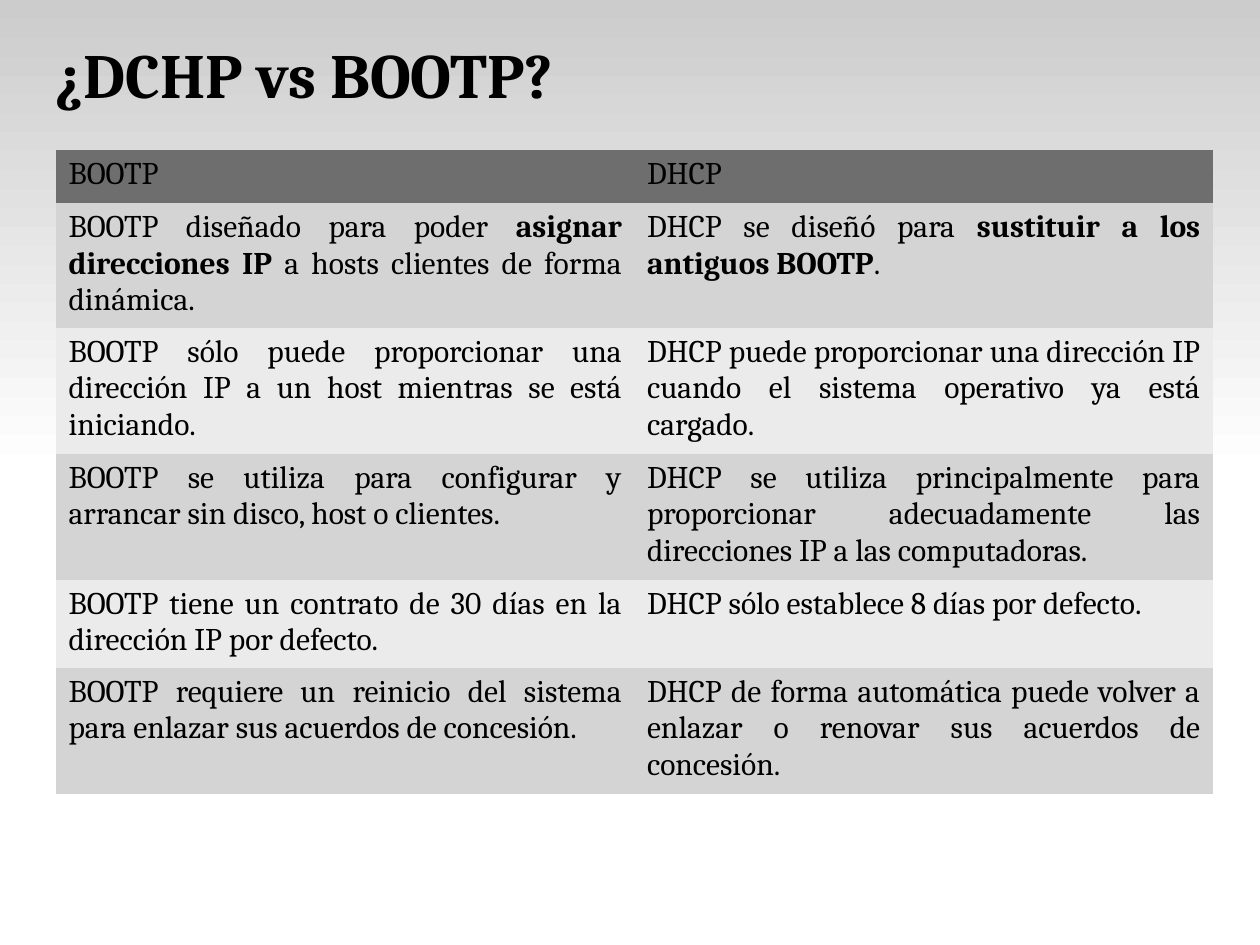
"""Build the slide that compares BOOTP and DHCP in a table."""
from pptx import Presentation
from pptx.dml.color import RGBColor
from pptx.enum.shapes import MSO_SHAPE
from pptx.enum.text import MSO_ANCHOR, MSO_AUTO_SIZE, PP_ALIGN
from pptx.util import Emu, Pt

RECTANGLE = MSO_SHAPE.RECTANGLE
MIDDLE = MSO_ANCHOR.MIDDLE
NO_AUTOFIT = MSO_AUTO_SIZE.NONE
LEFT, JUSTIFY = PP_ALIGN.LEFT, PP_ALIGN.JUSTIFY

BLACK = RGBColor(0x00, 0x00, 0x00)
WHITE = RGBColor(0xFF, 0xFF, 0xFF)
BAND_GREY = RGBColor(0xCC, 0xCC, 0xCC)
HEADER_GREY = RGBColor(0x6E, 0x6E, 0x6E)
ROW_GREYS = [RGBColor(0xEB, 0xEB, 0xEB), RGBColor(0xD4, 0xD4, 0xD4)]

FONT = "Cambria"
PLAIN_TABLE_STYLE = "{2D5ABB26-0587-4C30-8999-92F81FD0307C}"
BOLD_MARK = "*"
ROWS = [
    (53, "BOOTP", "DHCP"),
    (125, "BOOTP diseñado para poder *asignar direcciones IP* a hosts clientes de forma dinámica.",
     "DHCP se diseñó para *sustituir a los antiguos BOOTP*."),
    (126, "BOOTP sólo puede proporcionar una dirección IP a un host mientras se está iniciando.",
     "DHCP puede proporcionar una dirección IP cuando el sistema operativo ya está cargado."),
    (126, "BOOTP se utiliza para configurar y arrancar sin disco, host o clientes.",
     "DHCP se utiliza principalmente para proporcionar adecuadamente las direcciones IP a las computadoras."),
    (88, "BOOTP tiene un contrato de 30 días en la dirección IP por defecto.",
     "DHCP sólo establece 8 días por defecto."),
    (126, "BOOTP requiere un reinicio del sistema para enlazar sus acuerdos de concesión.",
     "DHCP de forma automática puede volver a enlazar o renovar sus acuerdos de concesión."),
]


def px(length):
    """Turn pixels into EMU."""
    return Emu(round(length * 914400 / 126))


def style_font(font, size, bold):
    """Apply the slide's typeface and colour."""
    font.name = FONT
    font.size = Pt(size)
    font.bold = bold
    font.color.rgb = BLACK


presentation = Presentation()
presentation.slide_width = px(1260)
presentation.slide_height = px(945)
slide = presentation.slides.add_slide(presentation.slide_layouts[5])
slide.background.fill.solid()
slide.background.fill.fore_color.rgb = WHITE

band = slide.shapes.add_shape(RECTANGLE, 0, 0, px(1260), px(473))
band.shadow.inherit = False
band.line.fill.background()
band.fill.gradient()
band.fill.gradient_angle = 270
for stop, color in zip(band.fill.gradient_stops, (BAND_GREY, WHITE)):
    stop.color.rgb = color
for stop, position in zip(band.fill.gradient_stops, (0, 1)):
    stop.position = position

title = slide.shapes.title
title.left, title.top, title.width, title.height = px(55), px(32), px(819), px(83)
title_frame = title.text_frame
title_frame.text = "¿DCHP vs BOOTP?"
title_frame.word_wrap = True
title_frame.auto_size = NO_AUTOFIT
title_frame.vertical_anchor = MIDDLE
title_frame.margin_left = title_frame.margin_right = 0
title_frame.paragraphs[0].alignment = LEFT
style_font(title_frame.paragraphs[0].runs[0].font, 36, True)
title._element.addprevious(band._element)

table_height = sum(row[0] for row in ROWS)
table_frame = slide.shapes.add_table(len(ROWS), 2, px(56), px(150), px(1157), px(table_height))
table = table_frame.table
table._tbl.tblPr[0].text = PLAIN_TABLE_STYLE
for row_index, (height, *texts) in enumerate(ROWS):
    table.rows[row_index].height = px(height)
    for column_index, text in enumerate(texts):
        cell = table.cell(row_index, column_index)
        cell.fill.solid()
        cell.fill.fore_color.rgb = ROW_GREYS[row_index % 2] if row_index else HEADER_GREY
        paragraph = cell.text_frame.paragraphs[0]
        paragraph.alignment = JUSTIFY if row_index else LEFT
        for part_index, part in enumerate(text.split(BOLD_MARK)):
            run = paragraph.add_run()
            run.text = part
            style_font(run.font, 18, part_index % 2 == 1)

presentation.save("out.pptx")
